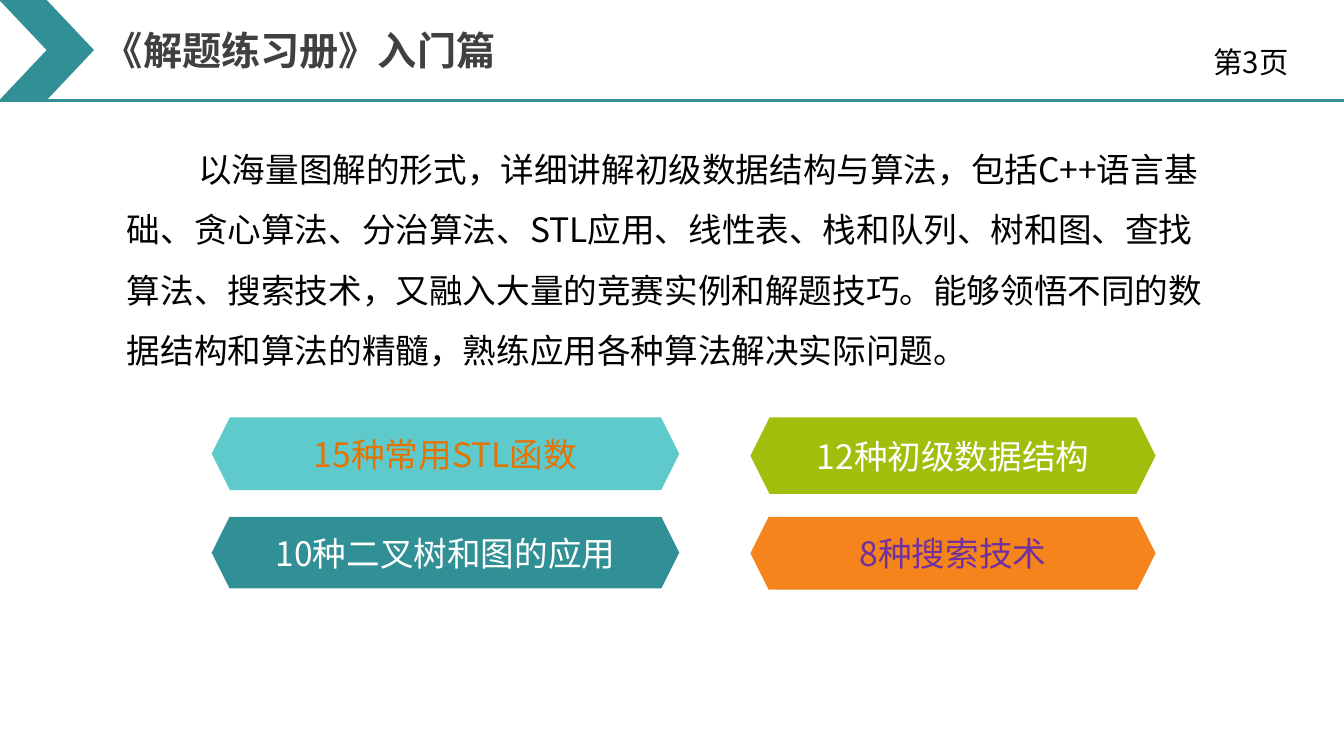
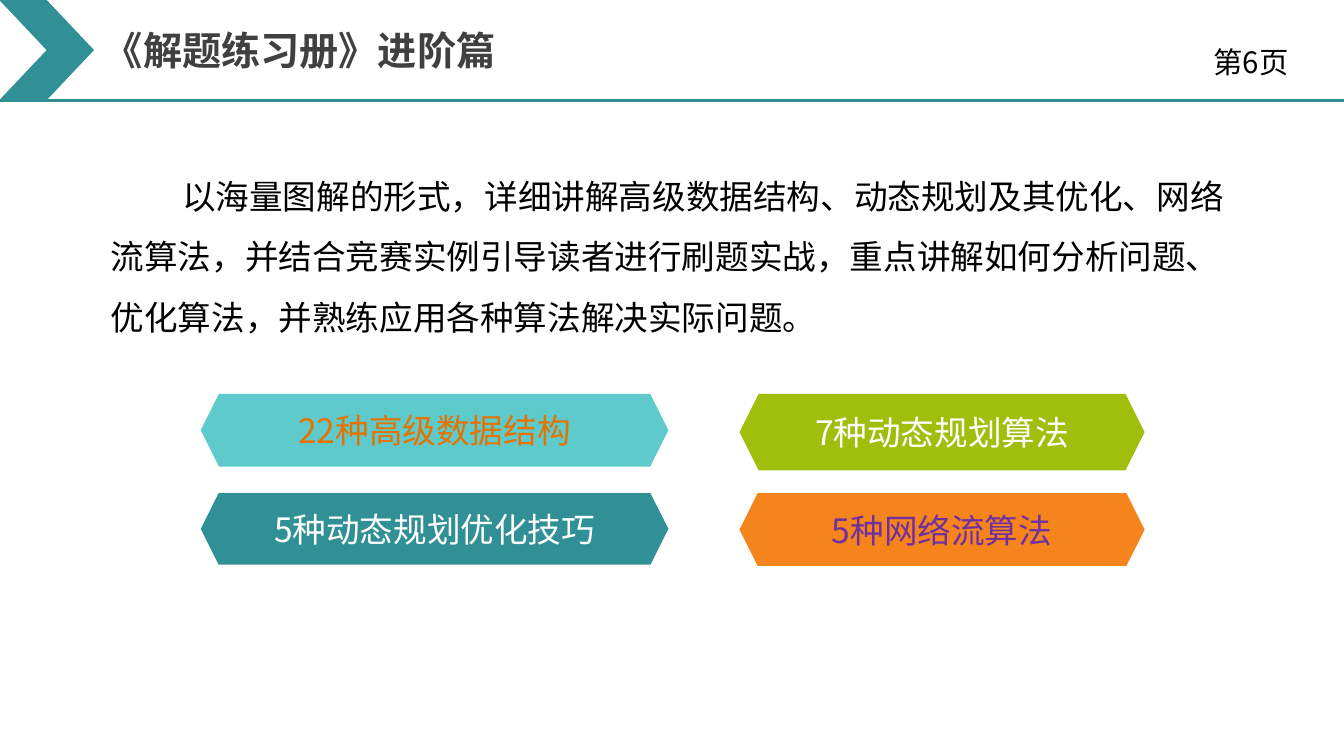
from pptx import Presentation
from pptx.dml.color import RGBColor
from pptx.enum.shapes import MSO_CONNECTOR, MSO_SHAPE
from pptx.enum.text import MSO_ANCHOR, MSO_AUTO_SIZE, PP_ALIGN
from pptx.oxml.ns import qn
from pptx.util import Pt
from lxml.etree import SubElement

# Content
LESSONS = [
    {
        "title": "《解题练习册》入门篇",
        "page": "第3页",
        "summary": "以海量图解的形式，详细讲解初级数据结构与算法，包括C++语言基础、贪心算法、"
                   "分治算法、STL应用、线性表、栈和队列、树和图、查找算法、搜索技术，又融入"
                   "大量的竞赛实例和解题技巧。能够领悟不同的数据结构和算法的精髓，熟练应用"
                   "各种算法解决实际问题。",
        "summary_box": (83.5, 88.1, 793.4, 181.4),
        "topics": ["15种常用STL函数", "12种初级数据结构",
                   "10种二叉树和图的应用", "8种搜索技术"],
        "topics_origin": (151.2, 298.2),
    },
    {
        "title": "《解题练习册》进阶篇",
        "page": "第6页",
        "summary": "以海量图解的形式，详细讲解高级数据结构、动态规划及其优化、网络流算法，"
                   "并结合竞赛实例引导读者进行刷题实战，重点讲解如何分析问题、优化算法，"
                   "并熟练应用各种算法解决实际问题。",
        "summary_box": (72, 107.6, 815.8, 138.2),
        "topics": ["22种高级数据结构", "7种动态规划算法",
                   "5种动态规划优化技巧", "5种网络流算法"],
        "topics_origin": (143.4, 281.3),
    },
]

# Shared style
FONT = "Noto Sans CJK SC"
COLORS = {"teal": "319095", "aqua": "5FCACB", "green": "A0BF0D", "orange": "F5841C",
          "title": "404040", "black": "000000", "white": "FFFFFF",
          "amber": "E57300", "purple": "7030A0"}
SLIDE_W, SLIDE_H = 960, 540
BAND_H = 71.6
TITLE_BOX = (67, 15.1, 311.8, 41)
PAGE_BOX = (859.7, 27.7, 85.7, 28.8)

# Topic grid: two columns; each badge has fill, text colour and height
COLUMN_PITCH, ROW_PITCH = 384.8, 71
COLUMN_WIDTHS = (334, 289.4)
BADGES = [("aqua", "amber", 52), ("green", "white", 54.7),
          ("teal", "white", 51.1), ("orange", "purple", 52)]


def rgb(name):
    return RGBColor.from_string(COLORS[name])


def write(frame, text, size, color, bold=False, align=PP_ALIGN.LEFT):
    frame.word_wrap = True
    paragraph = frame.paragraphs[0]
    paragraph.alignment = align
    run = paragraph.add_run()
    run.text = text
    font = run.font
    font.name, font.size, font.bold = FONT, Pt(size), bold
    font.color.rgb = rgb(color)
    SubElement(font._element, qn("a:ea")).set("typeface", FONT)
    return paragraph


def add_label(slide, box, text, size):
    label = slide.shapes.add_textbox(*map(Pt, box))
    return write(label.text_frame, text, size, "black")


def add_solid(slide, preset, box, fill):
    solid = slide.shapes.add_shape(preset, *map(Pt, box))
    solid.shadow.inherit = False
    solid.fill.solid()
    solid.fill.fore_color.rgb = rgb(fill)
    solid.line.fill.background()
    return solid


def add_header(slide, title_text, page):
    rule = slide.shapes.add_connector(MSO_CONNECTOR.STRAIGHT, Pt(0), Pt(BAND_H),
                                      Pt(SLIDE_W), Pt(BAND_H))
    rule.line.color.rgb = rgb("teal")
    rule.line.width = Pt(2.25)
    SubElement(rule._element.spPr, qn("a:effectLst"))
    add_solid(slide, MSO_SHAPE.CHEVRON, (-0.5, 0, 67.7, BAND_H), "teal")

    title = slide.shapes.title
    title.left, title.top, title.width, title.height = map(Pt, TITLE_BOX)
    frame = title.text_frame
    frame.vertical_anchor = MSO_ANCHOR.TOP
    frame.auto_size = MSO_AUTO_SIZE.SHAPE_TO_FIT_TEXT
    write(frame, title_text, 28, "title", bold=True)
    add_label(slide, PAGE_BOX, page, 21)


def add_summary(slide, box, text):
    paragraph = add_label(slide, box, text, 24)
    paragraph.line_spacing = 1.5
    paragraph._p.get_or_add_pPr().set("indent", str(Pt(51)))


def add_topics(slide, origin, topics):
    left, top = origin
    for index, (topic, (fill, color, height)) in enumerate(zip(topics, BADGES)):
        row, column = divmod(index, 2)
        box = (left + column * COLUMN_PITCH, top + row * ROW_PITCH,
               COLUMN_WIDTHS[column], height)
        badge = add_solid(slide, MSO_SHAPE.HEXAGON, box, fill)
        frame = badge.text_frame
        frame.vertical_anchor = MSO_ANCHOR.MIDDLE
        frame.margin_left = frame.margin_right = Pt(9.4)
        frame.margin_top = frame.margin_bottom = Pt(5)
        write(frame, topic, 24, color, align=PP_ALIGN.CENTER)


def main():
    deck = Presentation()
    deck.slide_width, deck.slide_height = Pt(SLIDE_W), Pt(SLIDE_H)
    title_only = deck.slide_layouts[5]
    for lesson in LESSONS:
        slide = deck.slides.add_slide(title_only)
        add_header(slide, lesson["title"], lesson["page"])
        add_summary(slide, lesson["summary_box"], lesson["summary"])
        add_topics(slide, lesson["topics_origin"], lesson["topics"])
    deck.save("out.pptx")


if __name__ == "__main__":
    main()
